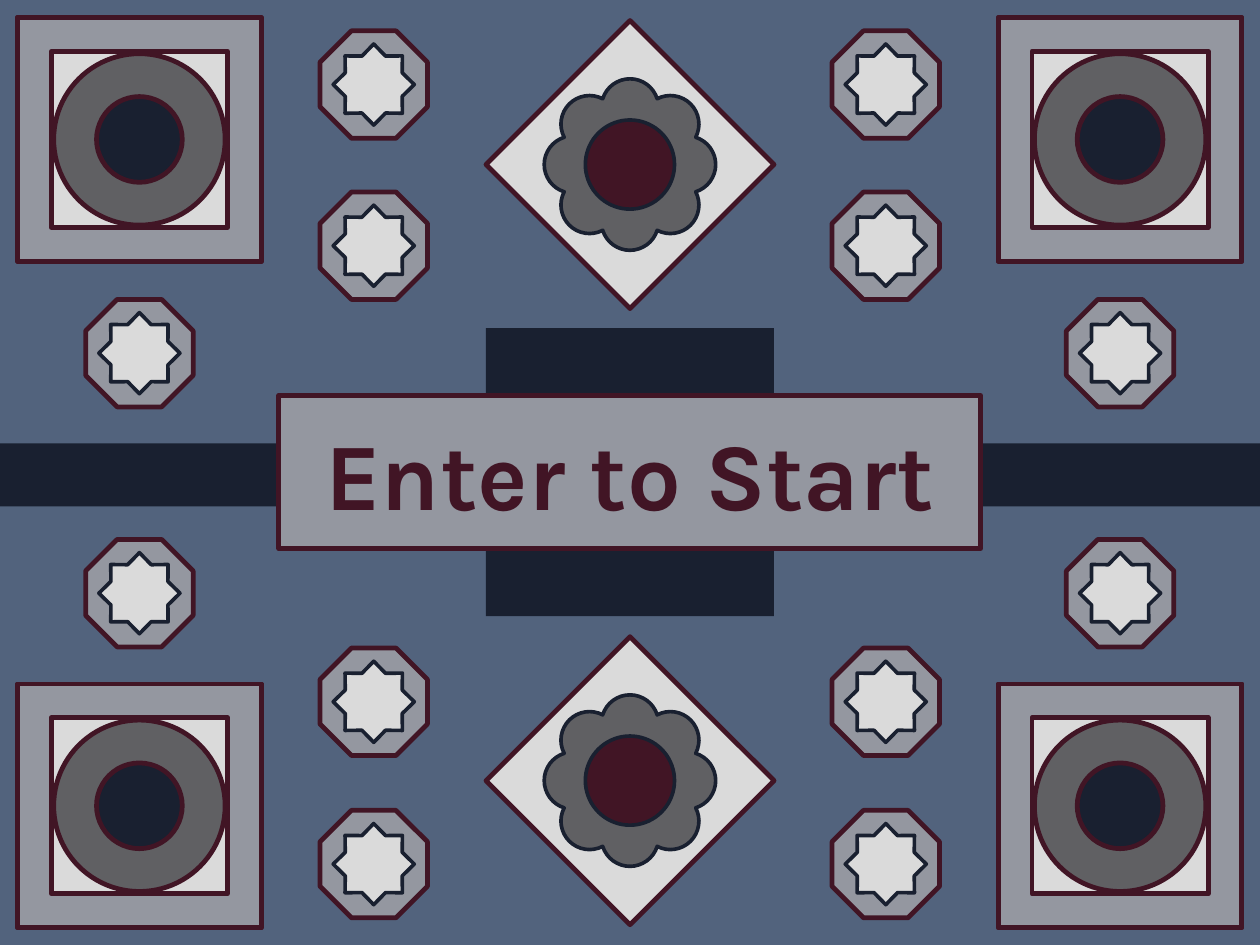
from dataclasses import dataclass
from itertools import product
from math import atan2, cos, pi, sin, sqrt
from typing import Optional

from lxml.etree import SubElement
from pptx import Presentation
from pptx.dml.color import RGBColor
from pptx.enum.shapes import MSO_SHAPE as Preset
from pptx.enum.text import MSO_ANCHOR as Anchor, PP_ALIGN as Align
from pptx.oxml.ns import qn
from pptx.shapes.autoshape import Shape
from pptx.shapes.shapetree import SlideShapes
from pptx.util import Inches, Pt

Point = tuple[float, float]


@dataclass(frozen=True)
class Theme:
    backdrop: str = "52637D"
    navy: str = "192030"
    wine: str = "411525"
    stone: str = "9497A0"
    pale: str = "DADADA"
    slate: str = "606063"
    font: str = "Karla"
    title_size: float = 60
    border: float = 3
    thin_border: float = 2.3


@dataclass(frozen=True)
class Layer:
    """One concentric layer of a tile, centred on the tile."""
    preset: Preset
    size: float
    fill: str
    line: Optional[str] = None
    adjustment: Optional[float] = None


THEME = Theme()
CM_PER_INCH = 2.54
WIDTH, HEIGHT = 28 / CM_PER_INCH, 21 / CM_PER_INCH
MIDDLE_X = WIDTH / 2

CORNER_LAYERS = (
    Layer(Preset.DONUT, 1.5, THEME.navy, THEME.wine, 0.5),
    Layer(Preset.FRAME, 2.13, THEME.pale, THEME.wine, 0.316),
    Layer(Preset.FRAME, 2.13, THEME.stone, THEME.wine, 0.138),
    Layer(Preset.DONUT, 1.5, THEME.slate, THEME.wine, 0.25),
)
DIAMOND_LAYERS = (
    Layer(Preset.DIAMOND, 2.52, THEME.pale, THEME.wine),
    Layer(Preset.OVAL, 1.02, THEME.wine),
)
OCTAGON_LAYERS = (Layer(Preset.OCTAGON, 0.94, THEME.stone, THEME.wine, 0.293),)

OUTER_COLUMNS = (1.22, 9.8)
INNER_COLUMNS = (3.27, 7.75)
CORNER_CENTRES = tuple(product(OUTER_COLUMNS, (1.22, 7.05)))
DIAMOND_CENTRES = ((MIDDLE_X, 1.44), (MIDDLE_X, 6.83))
OCTAGON_CENTRES = (
    *product(OUTER_COLUMNS, (3.09, 5.19)),
    *product(INNER_COLUMNS, (0.74, 2.15, 6.14, 7.56)),
)

STAR_RADII = (0.355, 0.27)
PETALS = 8
PETAL_RADIUS = 0.25
PETAL_DISTANCE = 0.5
FLOWER_HOLE_RADIUS = 0.39


def paint(shape: Shape, fill: str, line: Optional[str], width: float) -> None:
    shape.shadow.inherit = False
    shape.fill.solid()
    shape.fill.fore_color.rgb = RGBColor.from_string(fill)
    if line is None:
        shape.line.fill.background()
        return
    shape.line.color.rgb = RGBColor.from_string(line)
    shape.line.width = Pt(width)
    SubElement(shape.line._get_or_add_ln(), qn("a:round"))


def add_block(shapes: SlideShapes, preset: Preset, left: float, top: float,
              width: float, height: float, fill: str,
              line: Optional[str] = None) -> Shape:
    block = shapes.add_shape(preset, Inches(left), Inches(top),
                             Inches(width), Inches(height))
    paint(block, fill, line, THEME.border)
    return block


def add_tile(shapes: SlideShapes, centre: Point, layers: tuple[Layer, ...]) -> None:
    x, y = centre
    for layer in layers:
        block = add_block(shapes, layer.preset, x - layer.size / 2, y - layer.size / 2,
                          layer.size, layer.size, layer.fill, layer.line)
        if layer.adjustment is not None:
            block.adjustments[0] = layer.adjustment


def polar(centre: Point, radius: float, angle: float) -> Point:
    return centre[0] + radius * cos(angle), centre[1] + radius * sin(angle)


def add_outline(shapes: SlideShapes, contours: list[list[Point]], fill: str) -> None:
    """Draw closed contours as one shape; an inner contour makes a hole."""
    scaled = [[(Inches(x), Inches(y)) for x, y in contour] for contour in contours]
    builder = shapes.build_freeform(*scaled[0][0])
    builder.add_line_segments(scaled[0][1:], close=True)
    for contour in scaled[1:]:
        builder.move_to(*contour[0])
        builder.add_line_segments(contour[1:], close=True)
    paint(builder.convert_to_shape(), fill, THEME.navy, THEME.thin_border)


def add_star(shapes: SlideShapes, centre: Point) -> None:
    tips = [polar(centre, STAR_RADII[i % 2], i * pi / 8) for i in range(16)]
    add_outline(shapes, [tips], THEME.pale)


def add_flower(shapes: SlideShapes, centre: Point) -> None:
    """Each petal is a circular arc that ends where it meets its neighbours."""
    half_step = pi / PETALS
    reach = PETAL_DISTANCE * cos(half_step) + sqrt(
        PETAL_RADIUS ** 2 - (PETAL_DISTANCE * sin(half_step)) ** 2)
    half_sweep = atan2(reach * sin(half_step), reach * cos(half_step) - PETAL_DISTANCE)
    steps = 16
    rim = []
    for petal in range(PETALS):
        direction = petal * 2 * half_step
        petal_centre = polar(centre, PETAL_DISTANCE, direction)
        rim += [polar(petal_centre, PETAL_RADIUS,
                      direction + half_sweep * (2 * step / steps - 1))
                for step in range(steps)]
    hole = [polar(centre, FLOWER_HOLE_RADIUS, -i * pi / 36) for i in range(72)]
    add_outline(shapes, [rim, hole], THEME.slate)


def add_title(shapes: SlideShapes) -> None:
    banner = add_block(shapes, Preset.RECTANGLE, 2.44, 3.46, 6.14, 1.34,
                       THEME.stone, THEME.wine)
    frame = banner.text_frame
    frame.text = "Enter to Start"
    frame.word_wrap = False
    frame.vertical_anchor = Anchor.MIDDLE
    frame.margin_left = frame.margin_right = Inches(0.12)
    frame.margin_top = frame.margin_bottom = Inches(0.07)
    paragraph = frame.paragraphs[0]
    paragraph.alignment = Align.CENTER
    font = paragraph.runs[0].font
    font.name = THEME.font
    font.size = Pt(THEME.title_size)
    font.bold = True
    font.color.rgb = RGBColor.from_string(THEME.wine)


def main() -> None:
    deck = Presentation()
    deck.slide_width, deck.slide_height = Inches(WIDTH), Inches(HEIGHT)
    slide = deck.slides.add_slide(deck.slide_layouts[6])
    slide.background.fill.solid()
    slide.background.fill.fore_color.rgb = RGBColor.from_string(THEME.backdrop)
    shapes = slide.shapes

    add_block(shapes, Preset.RECTANGLE, 0, 3.88, WIDTH, 0.55, THEME.navy)
    add_block(shapes, Preset.RECTANGLE, 4.25, 2.87, 2.52, 2.52, THEME.navy)
    add_title(shapes)
    for centre in CORNER_CENTRES:
        add_tile(shapes, centre, CORNER_LAYERS)
    for centre in DIAMOND_CENTRES:
        add_tile(shapes, centre, DIAMOND_LAYERS)
        add_flower(shapes, centre)
    for centre in OCTAGON_CENTRES:
        add_tile(shapes, centre, OCTAGON_LAYERS)
        add_star(shapes, centre)

    deck.save("out.pptx")


if __name__ == "__main__":
    main()
